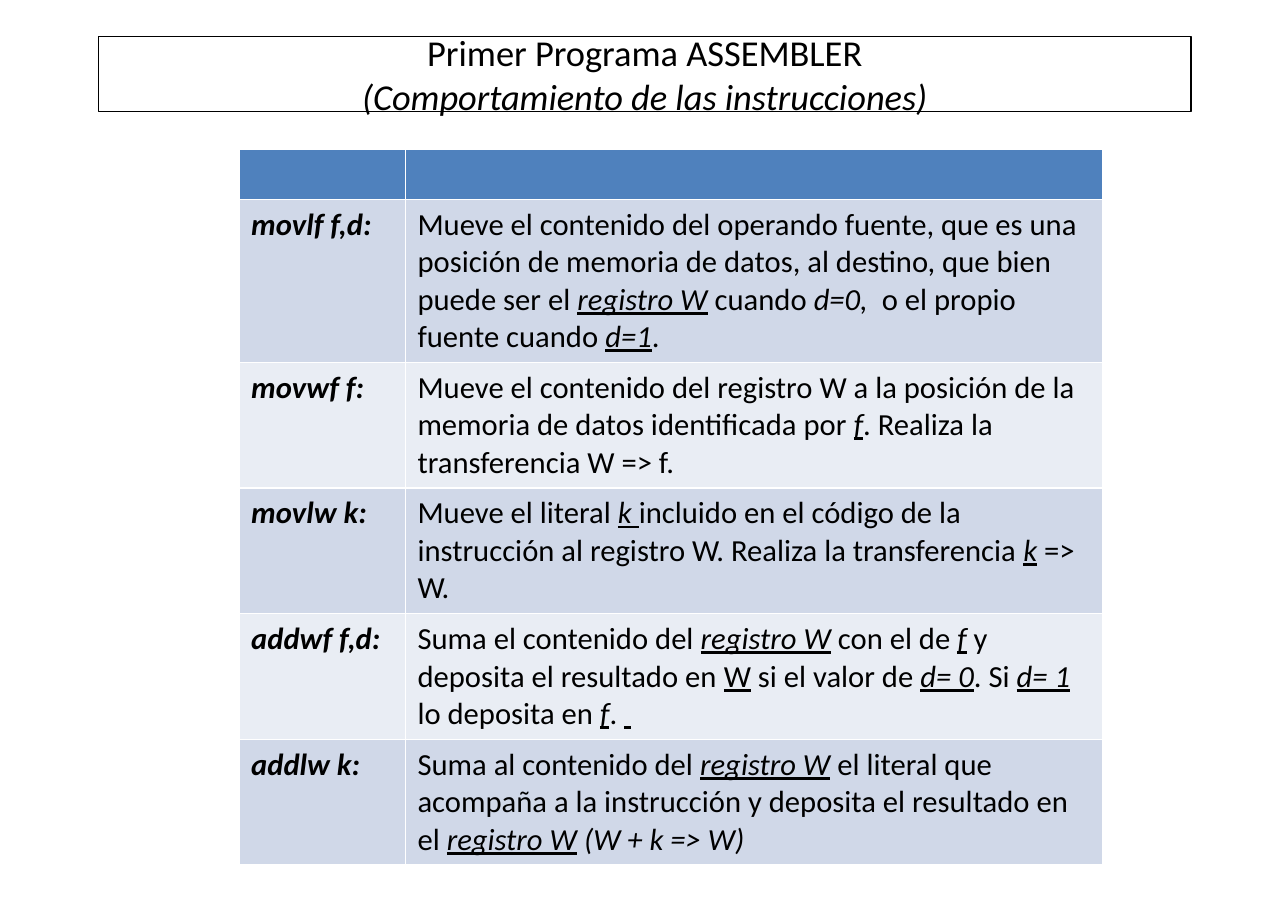
from pptx import Presentation
from pptx.dml.color import RGBColor
from pptx.enum import text
from pptx.util import Inches, Pt

BLACK = RGBColor(0x00, 0x00, 0x00)
HEADER = RGBColor(0x4F, 0x81, 0xBD)
BANDS = [RGBColor(0xD0, 0xD8, 0xE8), RGBColor(0xE9, 0xED, 0xF4)]

INSTRUCTIONS = [
    ("movlf f,d:", [
        ("Mueve el contenido del operando fuente, que es una posición de memoria de datos, "
         "al destino, que bien puede ser el ", ""),
        ("registro W", "iu"), (" cuando ", ""), ("d=0, ", "i"),
        (" o el propio fuente cuando ", ""), ("d=1", "iu"), (".", "")]),
    ("movwf f:", [
        ("Mueve el contenido del registro W a la posición de la memoria de datos "
         "identificada por ", ""),
        ("f", "iu"), (". Realiza la transferencia W => f.", "")]),
    ("movlw k:", [
        ("Mueve el literal ", ""), ("k ", "iu"),
        ("incluido en el código de la instrucción al registro W. "
         "Realiza la transferencia ", ""),
        ("k", "iu"), (" => W.", "")]),
    ("addwf f,d:", [
        ("Suma el contenido del ", ""), ("registro W", "iu"), (" con el de ", ""),
        ("f", "iu"), (" y deposita el resultado en ", ""), ("W", "u"),
        (" si el valor de ", ""), ("d= 0", "iu"), (". Si ", ""), ("d= 1", "iu"),
        (" lo deposita en ", ""), ("f", "iu"), (". ", ""), (" ", "iu")]),
    ("addlw k:", [
        ("Suma al contenido del ", ""), ("registro W", "iu"),
        (" el literal que acompaña a la instrucción y deposita el resultado en el ", ""),
        ("registro W", "iu"), (" ", ""), ("(W + k => W)", "i")]),
]


def set_font(p, size):
    p.font.name = "Calibri"
    p.font.size = Pt(size)
    p.font.color.rgb = BLACK


def add_runs(p, runs):
    for content, style in runs:
        r = p.add_run()
        r.text = content
        if "b" in style:
            r.font.bold = True
        if "i" in style:
            r.font.italic = True
        if "u" in style:
            r.font.underline = True


prs = Presentation()
prs.slide_width = Inches(11.69)
prs.slide_height = Inches(8.27)
s = prs.slides.add_slide(prs.slide_layouts[5])

title = s.shapes.title
title.left, title.top = Inches(0.89), Inches(0.33)
title.width, title.height = Inches(9.92), Inches(0.68)
title.line.color.rgb = BLACK
title.line.width = Pt(0.75)
tf = title.text_frame
tf.auto_size = text.MSO_AUTO_SIZE.NONE
tf.vertical_anchor = text.MSO_ANCHOR.MIDDLE
p = tf.paragraphs[0]
p.alignment = text.PP_ALIGN.CENTER
set_font(p, 23.8)
add_runs(p, [("Primer Programa ASSEMBLER", "")])
p.add_line_break()
add_runs(p, [("(Comportamiento de las instrucciones)", "i")])
for r in p.runs:
    r.font.size = Pt(23.8)

table = s.shapes.add_table(len(INSTRUCTIONS) + 1, 2, Inches(2.17), Inches(1.36),
                           Inches(7.84), Inches(6.28)).table
for column, width in zip(table.columns, [1.51, 6.33]):
    column.width = Inches(width)
for row, height in zip(table.rows, [0.45, 1.43, 1.1, 1.1, 1.1, 1.1]):
    row.height = Inches(height)

for cell in table.rows[0].cells:
    cell.fill.solid()
    cell.fill.fore_color.rgb = HEADER

for i, (name, description) in enumerate(INSTRUCTIONS):
    for cell, runs in zip(table.rows[i + 1].cells, [[(name, "bi")], description]):
        cell.fill.solid()
        cell.fill.fore_color.rgb = BANDS[i % 2]
        cell.margin_left = cell.margin_right = Inches(0.11)
        cell.margin_top = cell.margin_bottom = Inches(0.06)
        p = cell.text_frame.paragraphs[0]
        set_font(p, 20)
        add_runs(p, runs)

prs.save("out.pptx")
